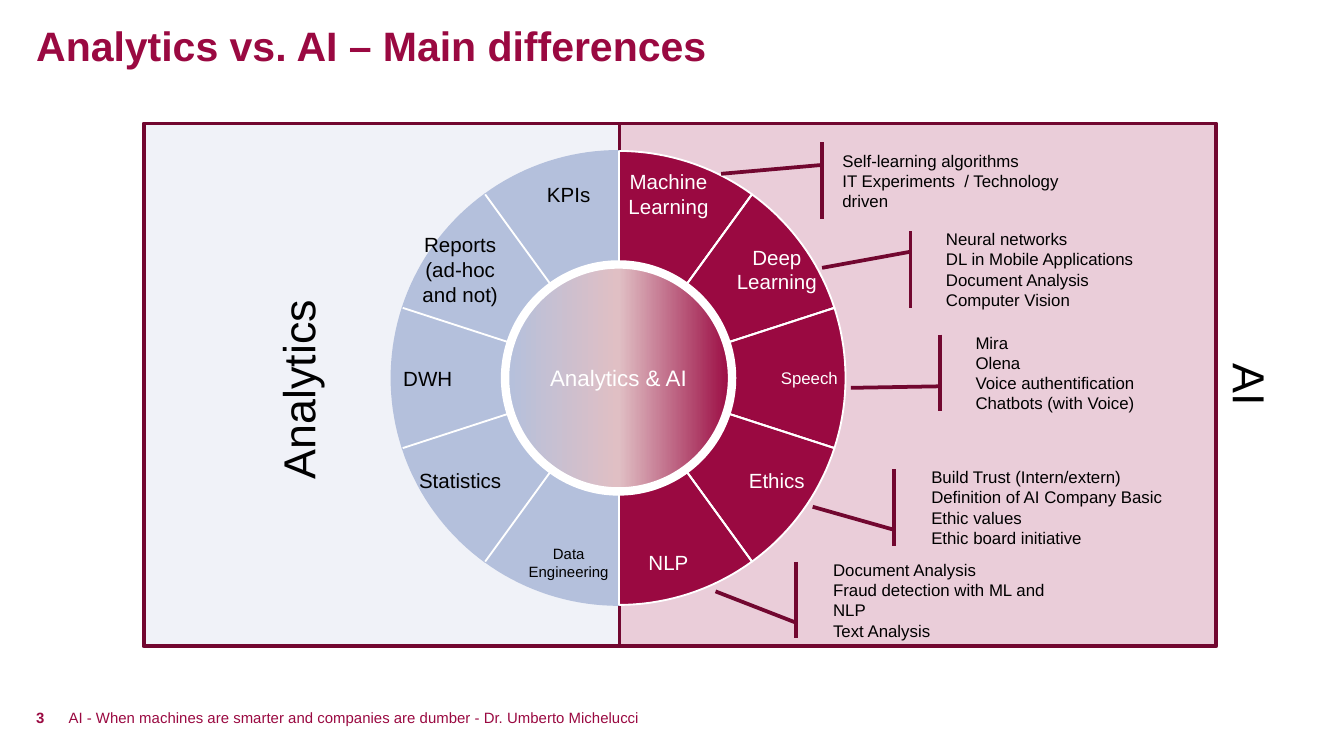
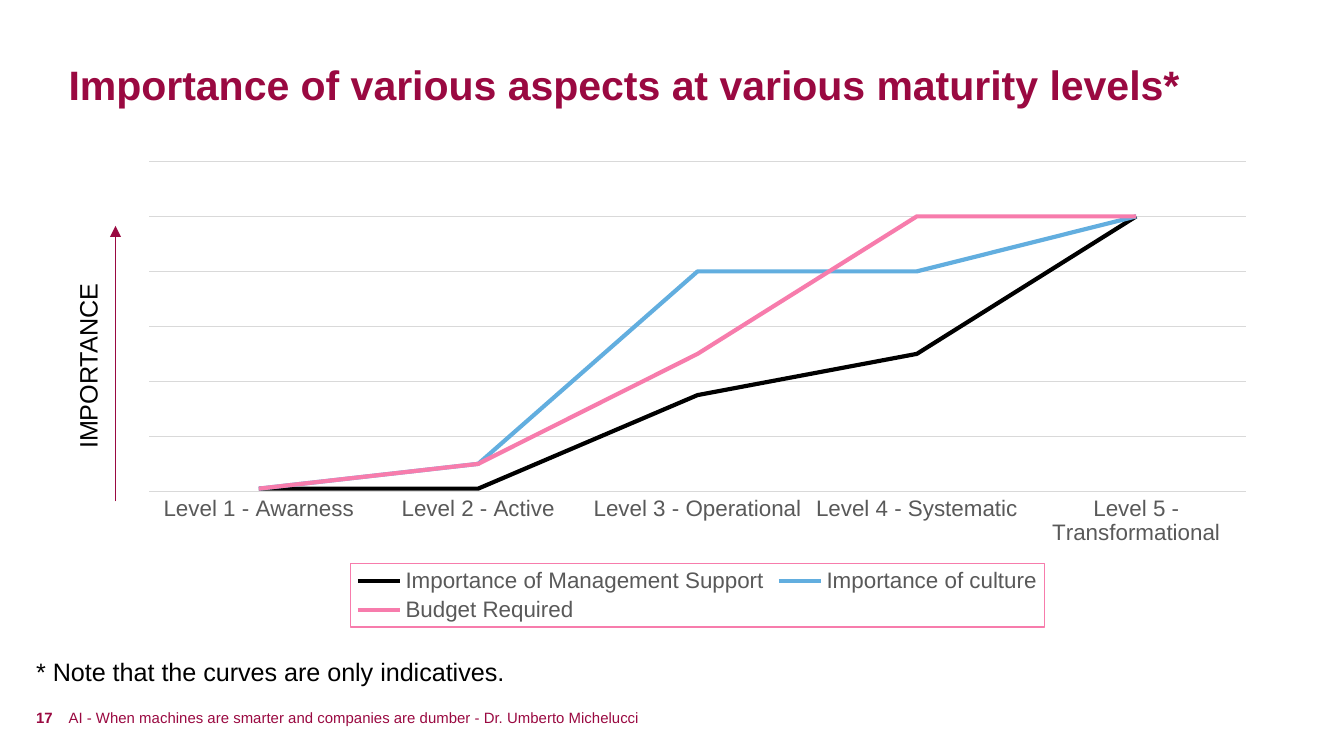
from copy import deepcopy
from math import cos, radians, sin

from pptx import Presentation
from pptx import util as u
from pptx.chart.data import CategoryChartData
from pptx.dml.color import RGBColor
from pptx.enum import chart as charts, shapes, text
from pptx.oxml import parse_xml
from pptx.oxml.ns import nsdecls, qn
from pptx.oxml.xmlchemy import OxmlElement

FONT = "Arial"
RED, DARK, BLUE = "9A0941", "720730", "B4C0DC"
ROSE, PINK, SKY = "E0BFC4", "F77CAC", "62AEDF"
BLACK, WHITE, GREY, PALE = "000000", "FFFFFF", "595959", "D9D9D9"
FOOTER = "AI - When machines are smarter and companies are dumber - Dr. Umberto Michelucci"
HUB_X, HUB_Y, RADIUS, STEP = 331.4, 202.5, 121.6, 36

SECTORS = [("Machine\nLearning", 11), ("Deep\nLearning", 11), ("Speech", 9),
           ("Ethics", 11), ("NLP", 11), ("Data Engineering", 8),
           ("Statistics", 11), ("DWH", 11), ("Reports (ad-hoc and not)", 11),
           ("KPIs", 11)]
INSETS = [(3.6, 3.6, 21.6, 79.2), (57.6, 3.6, 3.6, 21.6), (86.4, 3.6, 3.6, 3.6),
          (57.6, 14.4, 3.6, 3.6), (3.6, 79.2, 21.6, 3.6)]
NOTES = [
    (444.2, 76.3, (0.295, -0.026, 0.411, -0.404),
     "Self-learning algorithms\nIT Experiments  / Technology driven"),
    (499.7, 123.8, (0.271, -0.083, 0.482, -0.414),
     "Neural networks\nDL in Mobile Applications\nDocument Analysis\nComputer Vision"),
    (515.5, 179.3, (0.676, -0.083, 0.696, -0.417),
     "Mira\nOlena\nVoice authentification\nChatbots (with Voice)"),
    (491.8, 251.3, (0.795, -0.09, 0.494, -0.394),
     "Build Trust (Intern/extern)\nDefinition of AI Company Basic Ethic values\n"
     "Ethic board initiative"),
    (439.2, 301, (0.795, -0.09, 0.387, -0.39),
     "Document Analysis\nFraud detection with ML and NLP\nText Analysis"),
]
LEVELS = ["Level 1 - Awarness", "Level 2 - Active", "Level 3 - Operational",
          "Level 4 - Systematic", "Level 5 - Transformational"]
CURVES = [("Importance of Management Support", (1, 1, 35, 50, 100), BLACK),
          ("Importance of culture", (1, 10, 80, 80, 100), SKY),
          ("Budget Required", (1, 10, 50, 100, 100), PINK)]


def rgb(hue):
    """Turn a hex string into a colour."""
    return RGBColor.from_string(hue)


def style(font, size, hue, bold=False):
    """Set face, size, colour and weight of a font."""
    font.name, font.size, font.bold = FONT, u.Pt(size), bold
    font.color.rgb = rgb(hue)


def stroke(line, hue, width):
    """Give a line its colour and width."""
    line.color.rgb = rgb(hue)
    line.width = u.Pt(width)


def write(shape, words, size, hue, inset=(0, 0, 0, 0), align="LEFT",
          anchor="MIDDLE", bold=False, wrap=True):
    """Put one styled paragraph into a shape."""
    frame = shape.text_frame
    frame.word_wrap = wrap
    frame.vertical_anchor = text.MSO_ANCHOR[anchor]
    (frame.margin_left, frame.margin_top,
     frame.margin_right, frame.margin_bottom) = map(u.Pt, inset)
    para = frame.paragraphs[0]
    para.text = words
    para.alignment = text.PP_ALIGN[align]
    style(para.font, size, hue, bold)


def label(slide, box, words, size, hue, turn=0, **look):
    """Add a text box, turned if asked."""
    shape = slide.shapes.add_textbox(*map(u.Pt, box))
    shape.rotation = turn
    write(shape, words, size, hue, anchor="TOP", **look)


def block(slide, kind, box, hue, width):
    """Add a preset shape with an outline and no shadow."""
    shape = slide.shapes.add_shape(kind, *map(u.Pt, box))
    shape.shadow.inherit = False
    stroke(shape.line, hue, width)
    return shape


def panel(slide, box, hue):
    """Add a framed panel with a faint fill."""
    shape = block(slide, shapes.MSO_SHAPE.RECTANGLE, box, DARK, 2)
    shape.fill.solid()
    shape.fill.fore_color.rgb = rgb(hue)
    alpha = OxmlElement("a:alpha")
    alpha.set("val", "20000")
    next(shape.fill._xPr.iter(qn("a:srgbClr"))).append(alpha)


def link(slide, start, end, hue, width):
    """Add a straight line from start to end."""
    line = slide.shapes.add_connector(
        shapes.MSO_CONNECTOR.STRAIGHT, *map(u.Pt, (*start, *end)))
    stroke(line.line, hue, width)
    line._element.spPr.append(OxmlElement("a:effectLst"))
    return line


def rim(angle):
    """Find the point of the wheel's edge at a clockwise angle."""
    turn = radians(angle)
    return HUB_X + RADIUS * sin(turn), HUB_Y - RADIUS * cos(turn)


def sector(slide, index, words, size):
    """Add one labelled sector of the wheel."""
    right = index < 5
    fill, edge, ink = (RED, WHITE, WHITE) if right else (BLUE, BLUE, BLACK)
    left, top, far, low = INSETS[index if right else 9 - index]
    inset = (left, top, far, low) if right else (far, top, left, low)
    form = slide.shapes.build_freeform(u.Pt(HUB_X), u.Pt(HUB_Y))
    first = index * STEP
    form.add_line_segments(
        [tuple(map(u.Pt, rim(first + step))) for step in range(0, STEP + 1, 2)])
    shape = form.convert_to_shape()
    shape.shadow.inherit = False
    shape.fill.solid()
    shape.fill.fore_color.rgb = rgb(fill)
    stroke(shape.line, edge, 1)
    write(shape, words, size, ink, inset, "CENTER")


def hub(slide):
    """Add the shaded disc at the centre of the wheel."""
    size = RADIUS
    shape = block(slide, shapes.MSO_SHAPE.OVAL,
                  (HUB_X - size / 2, HUB_Y - size / 2, size, size), WHITE, 4.5)
    shape.fill.gradient()
    shape.fill.gradient_angle = 0
    stops = next(shape._element.spPr.iter(qn("a:gsLst")))
    stops.insert(1, deepcopy(stops[0]))
    for stop, place, hue in zip(shape.fill.gradient_stops, (0, 0.5, 1), (BLUE, ROSE, RED)):
        stop.position = place
        stop.color.rgb = rgb(hue)
    write(shape, "Analytics & AI", 12, WHITE, (3.6,) * 4, "CENTER")


def wheel(slide):
    """Draw sectors, spokes and hub."""
    for index, (words, size) in enumerate(SECTORS):
        sector(slide, index, words, size)
    for index in range(len(SECTORS)):
        link(slide, (HUB_X, HUB_Y), rim(index * STEP), WHITE, 1)
    hub(slide)


def callout(slide, left, top, bends, words):
    """Add a note with an accent bar and a leader."""
    shape = block(slide, shapes.MSO_SHAPE.LINE_CALLOUT_1_ACCENT_BAR,
                  (left, top, 143.3, 41), DARK, 2)
    shape.fill.background()
    for index, bend in enumerate(bends):
        shape.adjustments[index] = bend
    write(shape, words, 9, BLACK, (7.2, 3.6, 7.2, 3.6))


def graph(slide):
    """Add the line chart of the maturity levels."""
    data = CategoryChartData()
    data.categories = LEVELS
    for name, values, _ in CURVES:
        data.add_series(name, values)
    chart = slide.shapes.add_chart(
        charts.XL_CHART_TYPE.LINE, *map(u.Pt, (67.7, 81.4, 612, 254.9)), data).chart
    chart.has_title = False
    style(chart.font, 10, BLACK)
    for series, (_, _, hue) in zip(chart.plots[0].series, CURVES):
        series.smooth = False
        series.marker.style = charts.XL_MARKER_STYLE.NONE
        stroke(series.format.line, hue, 2.25)
    chart.plots[0].vary_by_categories = False
    base, scale = chart.category_axis, chart.value_axis
    base.major_tick_mark = charts.XL_TICK_MARK.NONE
    style(base.tick_labels.font, 12, GREY)
    stroke(base.format.line, PALE, 0.75)
    scale.visible = False
    scale.minimum_scale, scale.maximum_scale, scale.major_unit = 0, 120, 20
    stroke(scale.major_gridlines.format.line, PALE, 0.75)
    chart.has_legend = True
    legend = chart.legend
    legend.position = charts.XL_LEGEND_POSITION.BOTTOM
    legend.include_in_layout = False
    style(legend.font, 12, GREY)
    legend._element.find(qn("c:txPr")).addprevious(parse_xml(
        f'<c:spPr {nsdecls("c", "a")}><a:ln w="9525"><a:solidFill>'
        f'<a:srgbClr val="{PINK}"/></a:solidFill></a:ln></c:spPr>'))


def page(deck, number, title, left, top):
    """Start a slide with its title and footer."""
    slide = deck.slides.add_slide(deck.slide_layouts[6])
    label(slide, (left, top, 646.6, 49), title, 22, RED, bold=True)
    label(slide, (36.7, 379.4, 323.3, 8.6), FOOTER, 8, RED)
    label(slide, (19.4, 379.4, 13.7, 8.6), str(number), 8, RED, bold=True)
    return slide


def compare(deck):
    """Build the slide that sets analytics against AI."""
    slide = page(deck, 3, "Analytics vs. AI – Main differences", 19.4, 10.8)
    panel(slide, (77, 66.2, 254.9, 280.1), BLUE)
    panel(slide, (331.9, 66.2, 319.7, 280.1), RED)
    wheel(slide)
    pad = (7.2, 3.6, 7.2, 3.6)
    label(slide, (101.5, 187.9, 115.9, 36), "Analytics", 24, BLACK, 270, inset=pad)
    label(slide, (574.6, 187.9, 190.8, 36), "AI", 24, BLACK, 90, inset=pad, align="CENTER")
    for note in NOTES:
        callout(slide, *note)


def mature(deck):
    """Build the slide with the maturity curves."""
    slide = page(deck, 17, "Importance of various aspects at various maturity levels*",
                 36.7, 31.7)
    graph(slide)
    arrow = link(slide, (61.9, 268.6), (61.9, 121), RED, 1)
    head = OxmlElement("a:tailEnd")
    head.set("type", "triangle")
    arrow.line._get_or_add_ln().append(head)
    label(slide, (-3.6, 180.7, 102.2, 17.3), "IMPORTANCE", 13.5, BLACK, 270)
    label(slide, (19.4, 351.4, 254.2, 16.6),
          "* Note that the curves are only indicatives.", 13.5, BLACK, wrap=False)


def main():
    """Build and save the deck."""
    deck = Presentation()
    deck.slide_width, deck.slide_height = u.Pt(720), u.Pt(405)
    compare(deck)
    mature(deck)
    deck.save("out.pptx")


if __name__ == "__main__":
    main()
